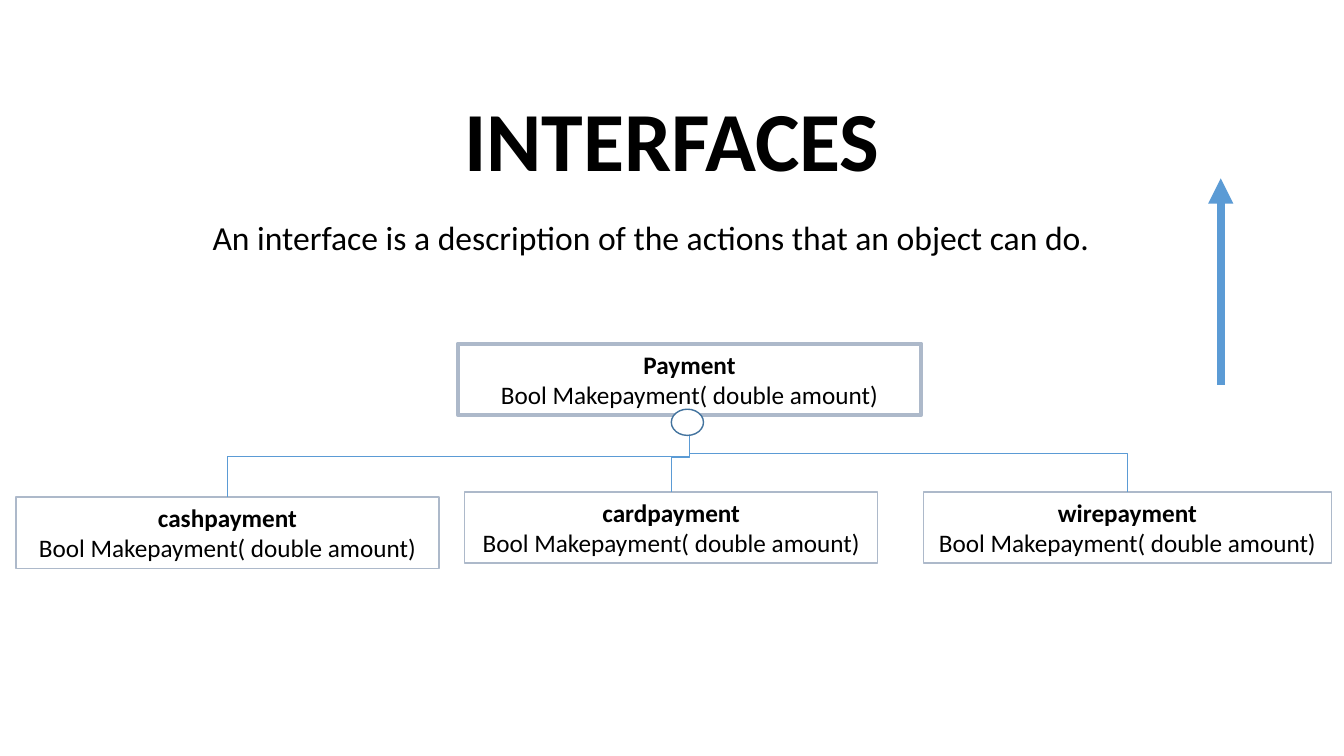
from dataclasses import dataclass
from lxml import etree
from pptx import Presentation
from pptx.dml.color import RGBColor
from pptx.enum.shapes import MSO_CONNECTOR, MSO_SHAPE
from pptx.enum.text import MSO_ANCHOR, MSO_AUTO_SIZE, PP_ALIGN
from pptx.oxml.ns import qn
from pptx.util import Pt

RECTANGLE, OVAL = MSO_SHAPE.RECTANGLE, MSO_SHAPE.OVAL
ELBOW, STRAIGHT = MSO_CONNECTOR.ELBOW, MSO_CONNECTOR.STRAIGHT
CENTER = PP_ALIGN.CENTER
TOP, MIDDLE, BOTTOM = MSO_ANCHOR.TOP, MSO_ANCHOR.MIDDLE, MSO_ANCHOR.BOTTOM
NO_AUTOFIT = MSO_AUTO_SIZE.NONE
TOP_SITE, BOTTOM_SITE = 0, 2


@dataclass(frozen=True)
class Theme:
    font: str = "Calibri"
    ink: str = "000000"
    paper: str = "FFFFFF"
    border: str = "ADB9CA"
    accent: str = "5B9BD5"
    ring: str = "43739E"
    title: int = 60
    subtitle: int = 24
    label: int = 18


THEME = Theme()

HEADING = "INTERFACES"
DEFINITION = "An interface is a description of the actions that an object can do."
METHOD = "Bool Makepayment( double amount)"
INTERFACE = ("Payment", 327, 245.5, 331)
CLASSES = [
    ("cashpayment", 11.5, 355, 302, 0.5),
    ("cardpayment", 332, 351.4, 295, 0.445),
    ("wirepayment", 659.5, 351.4, 291.6, 0.5),
]
BOX_HEIGHT = 50.9
SOCKET = (479.5, 292.3, 23, 18.7)
UPWARD = (872, 275, 872, 127.4)


def color(code):
    return RGBColor.from_string(code)


def place(part, left, top, width, height):
    part.left, part.top, part.width, part.height = map(Pt, (left, top, width, height))


def write(part, lines, size, bold_first, anchor, spacing=1.0):
    frame = part.text_frame
    frame.text = "\n".join(lines)
    frame.word_wrap = True
    frame.auto_size = NO_AUTOFIT
    frame.vertical_anchor = anchor
    for number, paragraph in enumerate(frame.paragraphs):
        paragraph.alignment = CENTER
        paragraph.line_spacing = spacing
        for run in paragraph.runs:
            run.font.name = THEME.font
            run.font.size = Pt(size)
            run.font.bold = bold_first and number == 0
            run.font.color.rgb = color(THEME.ink)


def outline(part, code, weight):
    part.line.color.rgb = color(code)
    part.line.width = Pt(weight)


def add_box(name, left, top, width, weight):
    box = slide.shapes.add_shape(RECTANGLE, *map(Pt, (left, top, width, BOX_HEIGHT)))
    box.shadow.inherit = False
    box.fill.background()
    outline(box, THEME.border, weight)
    write(box, [name, METHOD], THEME.label, True, MIDDLE)
    return box


def add_arrow(kind, ends, weight):
    arrow = slide.shapes.add_connector(kind, *ends)
    outline(arrow, THEME.accent, weight)
    etree.SubElement(arrow.line._get_or_add_ln(), qn("a:tailEnd"), type="triangle")
    etree.SubElement(arrow._element.spPr, qn("a:effectLst"))
    return arrow


def link(child, parent, bend):
    x1, y1 = child.left + child.width // 2, child.top
    x2, y2 = parent.left + parent.width // 2, parent.top + parent.height
    elbow = add_arrow(ELBOW, (x1, y1, x2, y2), 0.5)
    elbow.begin_connect(child, TOP_SITE)
    elbow.end_connect(parent, BOTTOM_SITE)
    run, rise = abs(x2 - x1), y1 - y2
    elbow.left, elbow.top = (x1 + x2 - rise) // 2, (y1 + y2 - run) // 2
    elbow.width, elbow.height = rise, run
    frame = elbow._element.spPr.find(qn("a:xfrm"))
    frame.set("rot", str(270 * 60000))
    frame.set("flipH", "0")
    frame.set("flipV", "1" if x1 > x2 else "0")
    guides = elbow._element.spPr.find(qn("a:prstGeom")).find(qn("a:avLst"))
    etree.SubElement(guides, qn("a:gd"), name="adj1", fmla=f"val {round(bend * 100000)}")


deck = Presentation()
deck.slide_width, deck.slide_height = Pt(960), Pt(540)
slide = deck.slides.add_slide(deck.slide_layouts[5])

heading = slide.shapes.title
place(heading, 120, 59, 720, 80)
write(heading, [HEADING], THEME.title, True, BOTTOM, 0.9)

definition = slide.shapes.add_textbox(*map(Pt, (105, 155, 720, 53)))
write(definition, [DEFINITION], THEME.subtitle, False, TOP, 0.9)
definition.text_frame.paragraphs[0].space_before = Pt(10)

payment = add_box(*INTERFACE, 3)
methods = [(add_box(*spot, 1), bend) for *spot, bend in CLASSES]
for method, bend in methods:
    link(method, payment, bend)

socket = slide.shapes.add_shape(OVAL, *map(Pt, SOCKET))
socket.shadow.inherit = False
socket.fill.solid()
socket.fill.fore_color.rgb = color(THEME.paper)
outline(socket, THEME.ring, 1)

add_arrow(STRAIGHT, map(Pt, UPWARD), 6)

deck.save("out.pptx")
